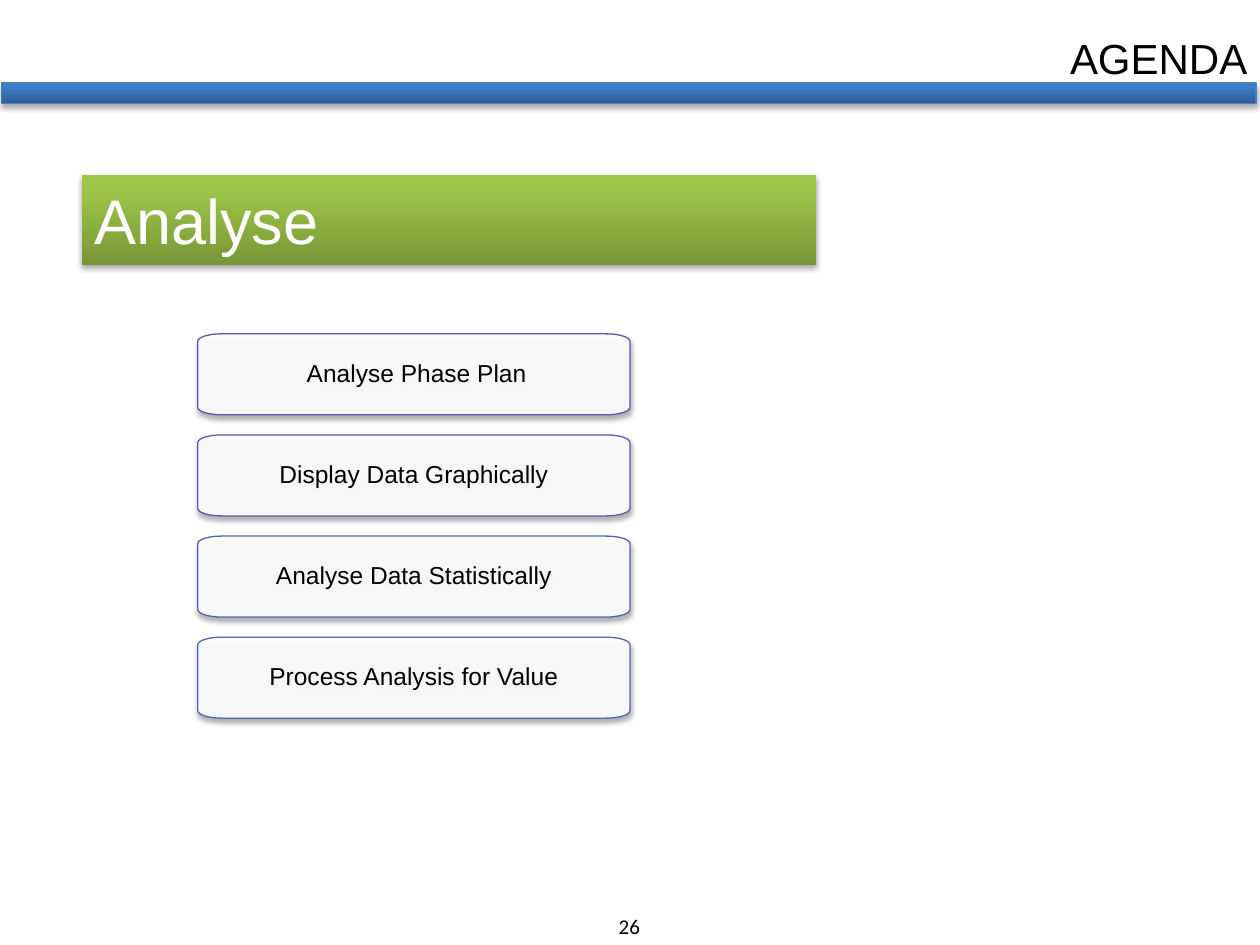
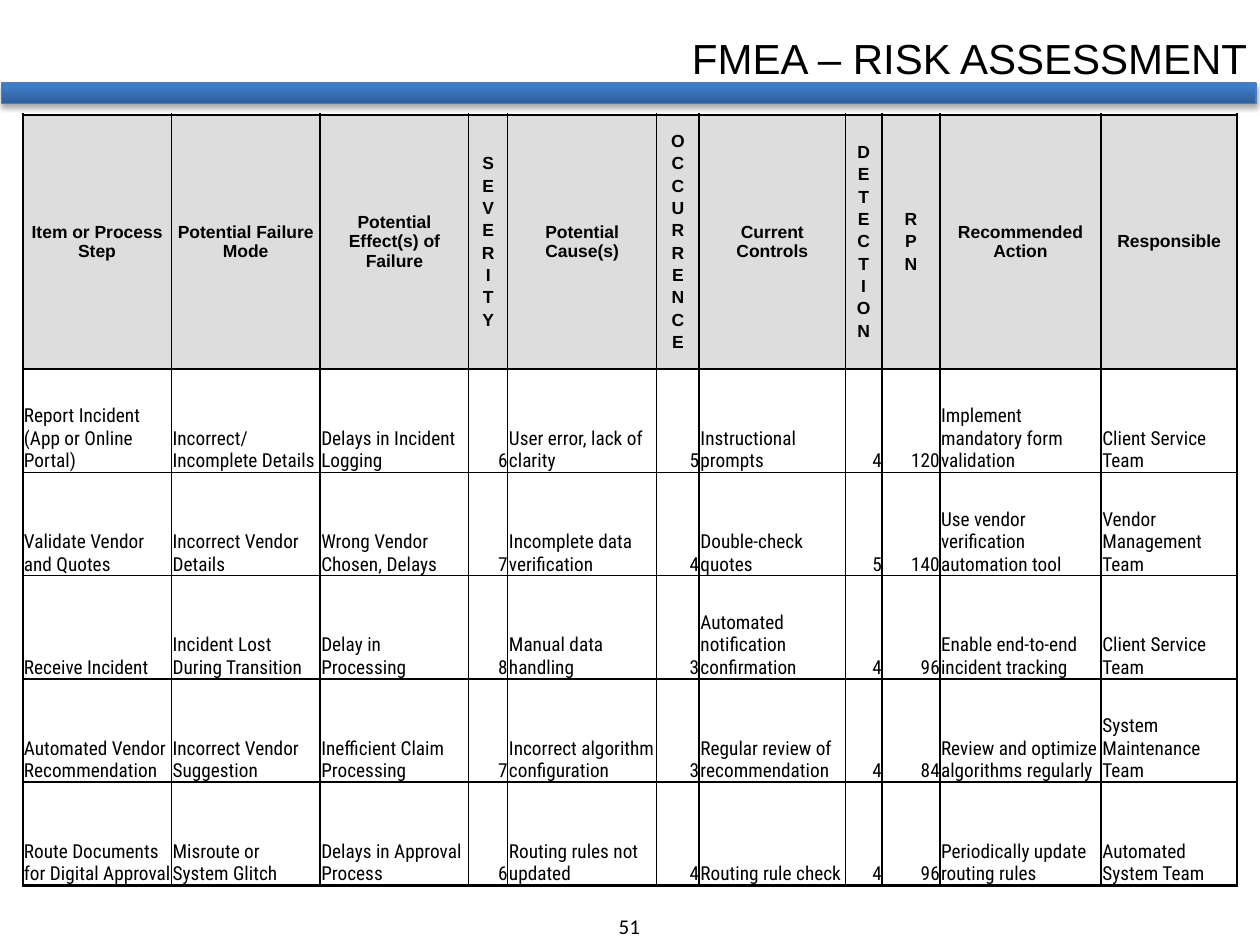
from dataclasses import dataclass
from math import cos, pi, sin

from pptx import Presentation
from pptx.dml.color import RGBColor
from pptx.enum.shapes import MSO_SHAPE
from pptx.enum.text import MSO_ANCHOR, MSO_AUTO_SIZE, PP_ALIGN
from pptx.oxml import parse_xml
from pptx.oxml.ns import nsdecls, qn
from pptx.util import Emu, Pt

SCALE = 9144


@dataclass(frozen=True)
class Theme:
    ink: str = "000000"
    paper: str = "FFFFFF"
    head: str = "DDDDDD"
    edge: str = "4B7EBC"
    blue: tuple = ((0, "2F5F99"), (80, "3D7CC7"), (100, "3A7CCB"))
    green: tuple = ((0, "779737"), (80, "9BC348"), (100, "9DC746"))
    cards: tuple = ("555BAF", "545FB1", "5363B2", "5267B4")
    sans: str = "Arial"
    foot: str = "Calibri"
    slim: str = "Roboto Condensed"
    title: int = 24
    banner: int = 36
    card: int = 14
    label: int = 10
    body: int = 11
    page: int = 12
    thin: float = 1
    thick: float = 1.5


THEME = Theme()

STEPS = (" Analyse Phase Plan", "Display Data Graphically",
         "Analyse Data Statistically", "Process Analysis for Value")

WIDTHS = (118, 118, 118, 31, 118, 34, 116, 29, 46, 128, 108)
HEIGHTS = (202,) + (82,) * 5
UPRIGHT = {"SEVERITY", "OCCURRENCE", "DETECTION", "RPN"}
ROWS = (
    ("Item or Process Step", "Potential Failure Mode",
     "Potential Effect(s) of Failure", "SEVERITY", "Potential Cause(s)",
     "OCCURRENCE", "Current Controls", "DETECTION", "RPN",
     "Recommended Action", "Responsible"),
    ("Report Incident (App or Online Portal)", "Incorrect/Incomplete Details",
     "Delays in Incident Logging", "6", "User error, lack of clarity", "5",
     "Instructional prompts", "4", "120",
     "Implement mandatory form validation", "Client Service Team"),
    ("Validate Vendor and Quotes", "Incorrect Vendor Details",
     "Wrong Vendor Chosen, Delays", "7", "Incomplete data verification", "4",
     "Double-check quotes", "5", "140",
     "Use vendor verification automation tool", "Vendor Management Team"),
    ("Receive Incident", "Incident Lost During Transition",
     "Delay in Processing", "8", "Manual data handling", "3",
     "Automated notification confirmation", "4", "96",
     "Enable end-to-end incident tracking", "Client Service Team"),
    ("Automated Vendor Recommendation", "Incorrect Vendor Suggestion",
     "Inefficient Claim Processing", "7", "Incorrect algorithm configuration",
     "3", "Regular review of recommendation", "4", "84",
     "Review and optimize algorithms regularly", "System Maintenance Team"),
    ("Route Documents for Digital Approval", "Misroute or System Glitch",
     "Delays in Approval Process", "6", "Routing rules not updated", "4",
     "Routing rule check", "4", "96", "Periodically update routing rules",
     "Automated System Team"),
)


def px(size):
    return Emu(round(size * SCALE))


def scale(box):
    return [px(size) for size in box]


def rgb(code):
    return RGBColor.from_string(code)


def write(para, text, size, font, color=THEME.ink, align=PP_ALIGN.LEFT, bold=False):
    para.alignment = align
    run = para.add_run()
    run.text = text
    run.font.size = Pt(size)
    run.font.name = font
    run.font.bold = bold
    run.font.color.rgb = rgb(color)


def frame(shape, anchor=MSO_ANCHOR.TOP):
    text = shape.text_frame
    text.word_wrap = True
    text.auto_size = MSO_AUTO_SIZE.NONE
    text.vertical_anchor = anchor
    return text


def shade(shape):
    shape.shadow.inherit = False
    effects = shape._element.spPr.find(qn("a:effectLst"))
    effects.append(parse_xml(
        f'<a:outerShdw {nsdecls("a")} blurRad="40000" dist="23000" dir="5400000" '
        'rotWithShape="0"><a:srgbClr val="000000"><a:alpha val="35000"/>'
        '</a:srgbClr></a:outerShdw>'))


def outline(shape, color):
    shape.line.color.rgb = rgb(color)
    shape.line.width = Pt(0.75)


def bar(slide, box, stops):
    shape = slide.shapes.add_shape(MSO_SHAPE.RECTANGLE, *scale(box))
    shape.fill.background()
    shape.line.fill.background()
    marks = "".join(f'<a:gs pos="{spot * 1000}"><a:srgbClr val="{color}"/></a:gs>'
                    for spot, color in stops)
    props = shape._element.spPr
    props.replace(props.find(qn("a:noFill")), parse_xml(
        f'<a:gradFill {nsdecls("a")} rotWithShape="1"><a:gsLst>{marks}</a:gsLst>'
        '<a:lin ang="16200000" scaled="0"/></a:gradFill>'))
    shade(shape)
    return shape


def base(deck, title, left, page):
    slide = deck.slides.add_slide(deck.slide_layouts[5])
    number = slide.shapes.add_textbox(*scale((468, 720, 63, 30)))
    write(frame(number).paragraphs[0], page, THEME.page, THEME.foot,
          align=PP_ALIGN.CENTER)
    outline(bar(slide, (1, 66, 996, 16), THEME.blue), THEME.edge)
    head = slide.shapes.title
    head.left, head.top, head.width, head.height = scale((left, 21, 1000 - left, 50))
    write(frame(head).paragraphs[0], title, THEME.title, THEME.sans,
          align=PP_ALIGN.RIGHT)
    return slide


def banner(slide, box, text):
    shape = bar(slide, box, THEME.green)
    write(frame(shape).paragraphs[0], text, THEME.banner, THEME.sans, THEME.paper)


def curve(box, wide, high, parts=8):
    left, top, width, height = box
    mids = ((left + width - wide, top + height - high), (left + wide, top + height - high),
            (left + wide, top + high), (left + width - wide, top + high))
    for turn, (x, y) in enumerate(mids):
        for part in range(parts + 1):
            angle = (turn + part / parts) * pi / 2
            yield px(x + wide * cos(angle)), px(y + high * sin(angle))


def card(slide, box, text, color):
    first, *rest = curve(box, 19, 6)
    pen = slide.shapes.build_freeform(*first, scale=1.0)
    pen.add_line_segments(rest, close=True)
    shape = pen.convert_to_shape()
    shape.fill.solid()
    shape.fill.fore_color.rgb = rgb(THEME.paper)
    tint = shape._element.spPr.find(qn("a:solidFill"))[0]
    tint.append(parse_xml(f'<a:alpha {nsdecls("a")} val="90000"/>'))
    outline(shape, color)
    shade(shape)
    body = frame(shape, MSO_ANCHOR.MIDDLE)
    body.margin_left = body.margin_right = px(5)
    body.margin_top = body.margin_bottom = px(4)
    body.paragraphs[0].line_spacing = 0.9
    write(body.paragraphs[0], text, THEME.card, THEME.sans, align=PP_ALIGN.CENTER)


def stack(slide, box, texts):
    left, top, width, height = box
    gap = 16
    tall = (height + gap) / len(texts) - gap
    for place, (text, color) in enumerate(zip(texts, THEME.cards)):
        card(slide, (left, top + place * (tall + gap), width, tall), text, color)


def rule(cell, sides):
    props = cell._tc.get_or_add_tcPr()
    for place, (side, thick) in enumerate(zip("LRTB", sides)):
        width = Pt(THEME.thick if thick else THEME.thin)
        props.insert(place, parse_xml(
            f'<a:ln{side} {nsdecls("a")} w="{width}"><a:solidFill>'
            f'<a:srgbClr val="{THEME.ink}"/></a:solidFill></a:ln{side}>'))


def label(cell, text):
    cell.fill.solid()
    cell.fill.fore_color.rgb = rgb(THEME.head)
    cell.vertical_anchor = MSO_ANCHOR.MIDDLE
    cell.margin_left = cell.margin_right = cell.margin_top = cell.margin_bottom = px(5)
    body = cell.text_frame
    for place, part in enumerate(text if text in UPRIGHT else [text]):
        para = body.add_paragraph() if place else body.paragraphs[0]
        para.space_before = Pt(1.6)
        write(para, part, THEME.label, THEME.sans, align=PP_ALIGN.CENTER, bold=True)


def entry(cell, text):
    cell.fill.background()
    cell.vertical_anchor = MSO_ANCHOR.BOTTOM
    cell.margin_left = cell.margin_top = px(1)
    cell.margin_right = cell.margin_bottom = 0
    align = PP_ALIGN.RIGHT if text.isdigit() else PP_ALIGN.LEFT
    write(cell.text_frame.paragraphs[0], text, THEME.body, THEME.slim, align=align)


def grid(slide, left, top):
    box = (left, top, sum(WIDTHS), sum(HEIGHTS))
    table = slide.shapes.add_table(len(ROWS), len(WIDTHS), *scale(box)).table
    table.first_row = table.horz_banding = False
    for col, width in zip(table.columns, WIDTHS):
        col.width = px(width)
    for row, height in zip(table.rows, HEIGHTS):
        row.height = px(height)
    for y, texts in enumerate(ROWS):
        for x, text in enumerate(texts):
            cell = table.cell(y, x)
            (entry if y else label)(cell, text)
            rule(cell, (x == 0, x == len(WIDTHS) - 1, y == 0, y == len(ROWS) - 1))


def agenda(deck):
    slide = base(deck, "AGENDA", 484, "26")
    banner(slide, (65, 139, 583, 71), "Analyse")
    stack(slide, (157, 265, 343, 305), STEPS)


def risk(deck):
    slide = base(deck, "FMEA – RISK ASSESSMENT", 413, "51")
    grid(slide, 18, 91)


def main():
    deck = Presentation()
    deck.slide_width, deck.slide_height = scale((1000, 750))
    agenda(deck)
    risk(deck)
    deck.save("out.pptx")


if __name__ == "__main__":
    main()
